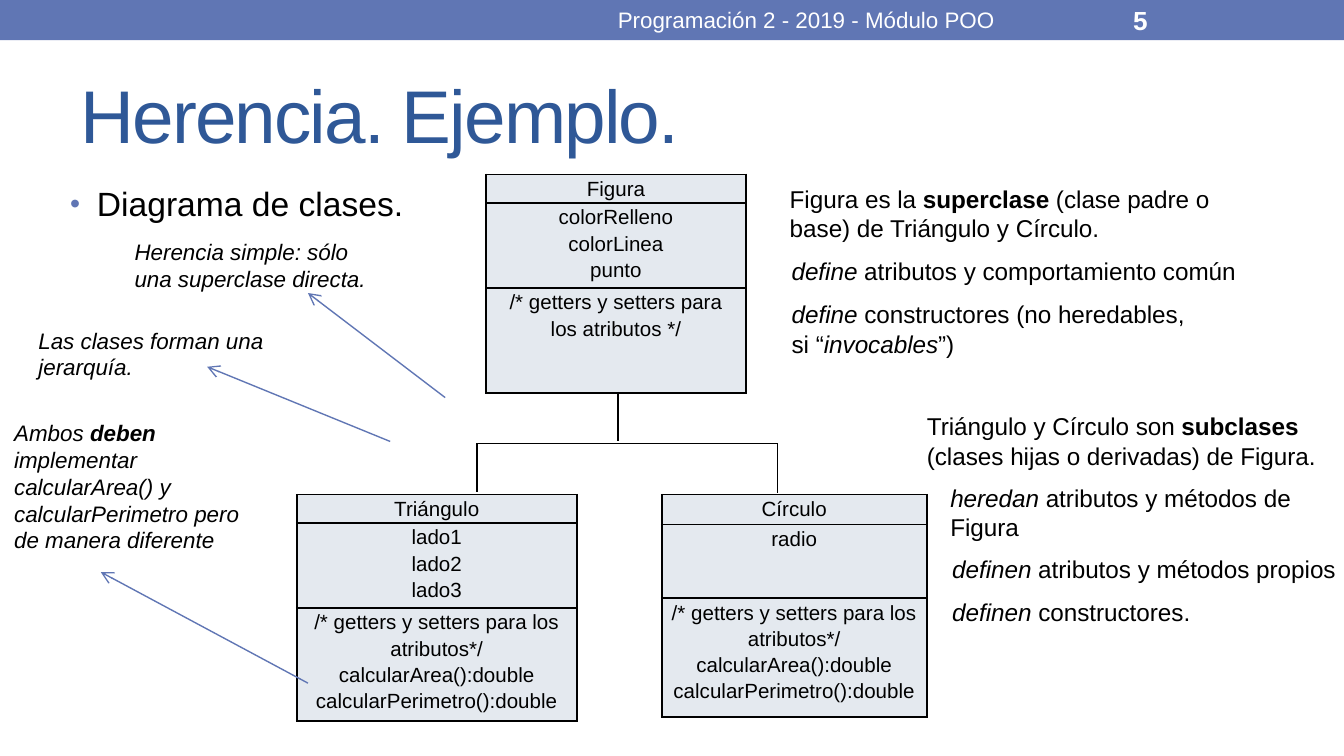
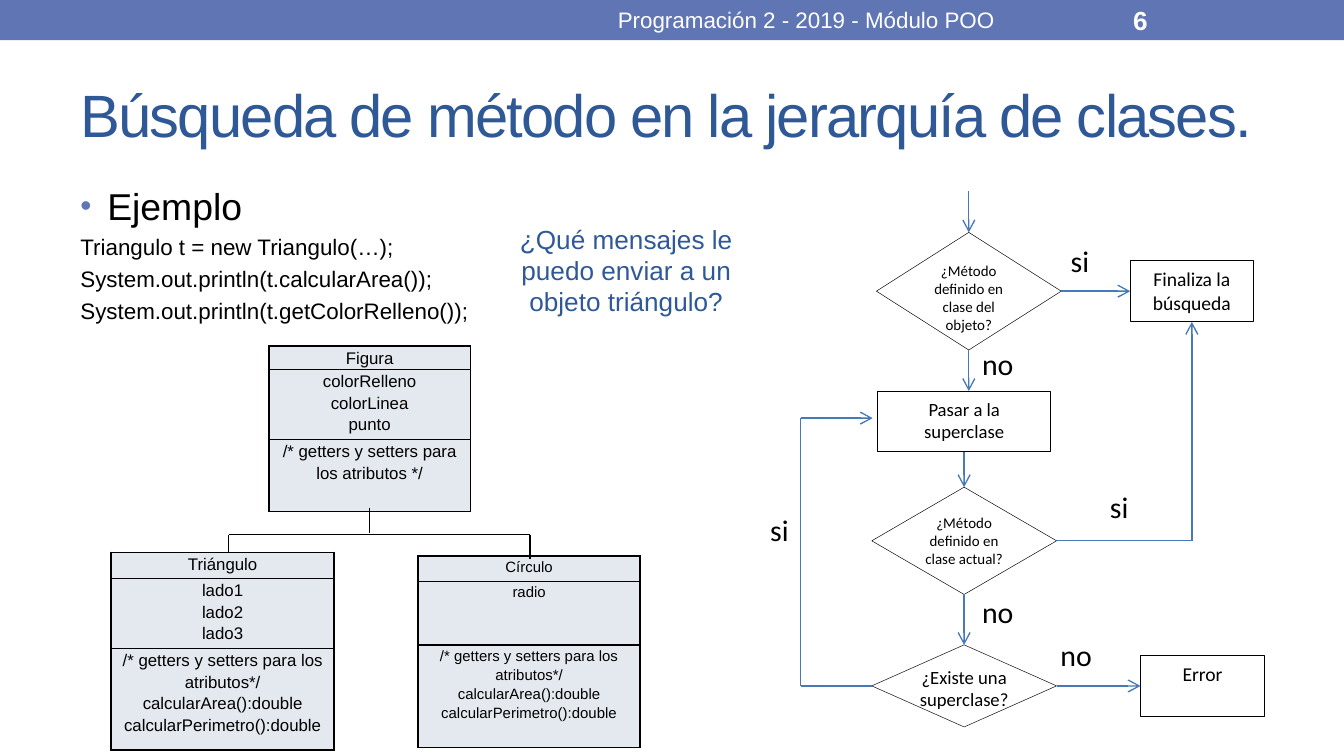
import pptx
import pptx.dml.color
import pptx.enum.shapes
import pptx.enum.text
import pptx.oxml
import pptx.oxml.ns
import pptx.util

Pt = pptx.util.Pt
ALIGN = pptx.enum.text.PP_ALIGN
ANCHOR = pptx.enum.text.MSO_ANCHOR
SHAPE = pptx.enum.shapes.MSO_SHAPE

COLORS = {
    "band": "6076B4",
    "title": "2F5897",
    "text": "000000",
    "white": "FFFFFF",
    "cell": "E4E9EF",
    "flow": "4579B8",
}
BOLD = {"bold": True}
ITALIC = {"italic": True}
CENTERED = {"alignment": ALIGN.CENTER}
MIDDLE = {"vertical_anchor": ANCHOR.MIDDLE}

GETTERS = "/* getters y setters para los atributos*/"
METHODS = [GETTERS, "calcularArea():double", "calcularPerimetro():double"]
CLASSES = {
    "Figura": [
        ["Figura"],
        ["colorRelleno", "colorLinea", "punto"],
        ["/* getters y setters para los atributos */"],
    ],
    "Triángulo": [["Triángulo"], ["lado1", "lado2", "lado3"], METHODS],
    "Círculo": [["Círculo"], ["radio"], METHODS],
}


def rgb(name):
    return pptx.dml.color.RGBColor.from_string(COLORS[name])


def set_attributes(target, values):
    for name, value in values.items():
        setattr(target, name, value)


def drawing_xml(xml):
    return pptx.oxml.parse_xml(xml.replace(" ", f" {pptx.oxml.ns.nsdecls('a')} ", 1))


def write_text(frame, paragraphs, size, color="text", font="Arial",
               font_format=None, paragraph_format=None, frame_format=None):
    """Fill a frame; a paragraph is a string or a list of (text, font format)."""
    set_attributes(frame, {"word_wrap": True, "vertical_anchor": ANCHOR.TOP,
                           **(frame_format or {})})
    for index, content in enumerate(paragraphs):
        paragraph = frame.paragraphs[0] if index == 0 else frame.add_paragraph()
        set_attributes(paragraph, paragraph_format or {})
        runs = [(content, {})] if isinstance(content, str) else content
        for text, run_format in runs:
            run = paragraph.add_run()
            run.text = text
            set_attributes(run.font, {"name": font, "size": Pt(size),
                                      **(font_format or {}), **run_format})
            run.font.color.rgb = rgb(color)


def add_text(slide, box, paragraphs, size, **options):
    shape = slide.shapes.add_textbox(*map(Pt, box))
    write_text(shape.text_frame, paragraphs, size, **options)
    return shape.text_frame


def add_box(slide, kind, box, fill, line_width=None):
    shape = slide.shapes.add_shape(kind, *map(Pt, box))
    shape.shadow.inherit = False
    shape.fill.solid()
    shape.fill.fore_color.rgb = rgb(fill)
    if line_width is None:
        shape.line.fill.background()
    else:
        shape.line.color.rgb = rgb("text")
        shape.line.width = Pt(line_width)
    return shape


def add_line(slide, start, end, color="text", arrow=False):
    """Draw a line; an end is an (x, y) point or a (shape, side) joint."""
    joined = [hasattr(point[0], "shape_id") for point in (start, end)]
    points = [(0, 0) if joint else point for joint, point in zip(joined, (start, end))]
    line = slide.shapes.add_connector(
        pptx.enum.shapes.MSO_CONNECTOR.STRAIGHT,
        *(Pt(value) for point in points for value in point))
    if joined[0]:
        line.begin_connect(*start)
    if joined[1]:
        line.end_connect(*end)
    line.line.color.rgb = rgb(color)
    line.line.width = Pt(0.75)
    if arrow:
        line.line._get_or_add_ln().append(drawing_xml('<a:tailEnd type="arrow"/>'))
    line._element.spPr.append(drawing_xml("<a:effectLst />"))


def add_class(slide, name, left, top, width, heights, size):
    """Draw a class as a table of name, attributes and methods."""
    frame = slide.shapes.add_table(3, 1, Pt(left), Pt(top), Pt(width), Pt(sum(heights)))
    table = frame.table
    set_attributes(table, {"first_row": False, "horz_banding": False})
    table.columns[0].width = Pt(width)
    for index, (height, lines) in enumerate(zip(heights, CLASSES[name])):
        table.rows[index].height = Pt(height)
        cell = table.cell(index, 0)
        set_attributes(cell, {"margin_left": Pt(5), "margin_right": Pt(5),
                              "margin_top": 0, "margin_bottom": 0})
        properties = cell._tc.get_or_add_tcPr()
        for side in "LRTB":
            properties.append(drawing_xml(
                f'<a:ln{side} w="12700"><a:solidFill><a:srgbClr val="{COLORS["text"]}"/>'
                f"</a:solidFill></a:ln{side}>"))
        cell.fill.solid()
        cell.fill.fore_color.rgb = rgb("cell")
        write_text(cell.text_frame, lines, size,
                   paragraph_format={**CENTERED, "line_spacing": 1.15})


def add_bullet(paragraph):
    properties = paragraph._p.get_or_add_pPr()
    properties.set("marL", str(Pt(14.4)))
    properties.set("indent", str(Pt(-14.4)))
    for xml in (f'<a:buClr ><a:srgbClr val="{COLORS["band"]}"/></a:buClr>',
                '<a:buSzPct val="85000"/>',
                '<a:buFont typeface="Arial"/>',
                '<a:buChar char="•"/>'):
        properties.append(drawing_xml(xml))


def add_body(slide, left, heading, size, code=()):
    """Write a bulleted heading with plain code lines below it."""
    frame = add_text(slide, (left, 94.5, 648, 288),
                     [[(heading, {"size": Pt(size)})], *code], 12)
    for paragraph in frame.paragraphs:
        paragraph.space_before = Pt(0.23 * paragraph.runs[0].font.size.pt)
    add_bullet(frame.paragraphs[0])


def start_slide(presentation, number, title, title_size):
    slide = presentation.slides.add_slide(presentation.slide_layouts[6])
    add_box(slide, SHAPE.RECTANGLE, (0, 0, 720, 21.6), "band")
    add_text(slide, (600, 1, 84, 19.5), [str(number)], 14, color="white",
             font_format=BOLD, frame_format=MIDDLE)
    add_text(slide, (270, 1, 324, 19.5), ["Programación 2 - 2019 - Módulo POO"], 12,
             color="white", paragraph_format=CENTERED, frame_format=MIDDLE)
    frame = add_text(slide, (36, 31.5, 648, 58.5), [title], title_size, color="title",
                     frame_format=MIDDLE)
    frame.paragraphs[0].runs[0].font._element.set("spc", "-100")
    return slide


def add_hierarchy_lines(slide, left, right, middle, top, bar, left_end, right_end):
    add_line(slide, (left, bar), (right, bar))
    add_line(slide, (middle, top), (middle, bar - 1))
    add_line(slide, (left, bar), (left, left_end))
    add_line(slide, (right, bar), (right, right_end))


def build_inheritance(presentation):
    slide = start_slide(presentation, 5, "Herencia. Ejemplo.", 40)
    add_body(slide, 30.5, "Diagrama de clases.", 18)

    add_class(slide, "Figura", 260.5, 93.5, 139, (14, 42, 56.5), 11)
    add_class(slide, "Círculo", 354.5, 265, 142, (16, 39.5, 63.5), 11)
    add_class(slide, "Triángulo", 159, 265, 150, (14, 42, 56.5), 11)
    add_hierarchy_lines(slide, 255.5, 416.5, 331, 210, 237.5, 263.5, 264)

    descriptions = [
        ((416, 95, 261, 39), [[("Figura es la ", {}), ("superclase", BOLD),
                               (" (clase padre o base) de Triángulo y Círculo.", {})]]),
        ((489.5, 217, 227.5, 39), [[("Triángulo y Círculo son ", {}), ("subclases ", BOLD),
                                    ("(clases hijas o derivadas) de Figura.", {})]]),
        ((502, 255.5, 231, 39), [[("heredan", ITALIC),
                                  (" atributos y métodos de Figura", {})]]),
        ((503, 293.5, 230, 23), [[("definen ", ITALIC),
                                  ("atributos y métodos propios", {})]]),
        ((417, 133.5, 283, 23), [[("define", ITALIC),
                                  (" atributos y comportamiento común", {})]]),
        ((503, 316.5, 231, 23), [[("definen ", ITALIC), ("constructores.", {})]]),
        ((417, 157, 300, 39), [[("define", ITALIC), (" constructores (no heredables,", {})],
                               [("si “", {}), ("invocables", ITALIC), ("”)", {})]]),
    ]
    for box, paragraphs in descriptions:
        add_text(slide, box, paragraphs, 13)

    notes = [
        ((0.5, 221, 136, 80),
         [("Ambos ", {}), ("deben", BOLD),
          (" implementar calcularArea() y calcularPerimetro pero de manera diferente", {})],
         (165, 366), (54, 306.5)),
        ((65, 124, 144, 36), "Herencia simple: sólo una superclase directa.",
         (238.5, 213), (165, 157)),
        ((13.5, 171.5, 144, 36), "Las clases forman una jerarquía.",
         (209, 236.5), (111, 196.5)),
    ]
    for box, paragraph, start, end in notes:
        add_text(slide, box, [paragraph], 12, font_format=ITALIC)
        add_line(slide, start, end, "band", arrow=True)


def add_flow_node(slide, kind, box, text, size):
    diamond = kind == SHAPE.DIAMOND
    shape = add_box(slide, kind, box, "white", 0.25 if diamond else 0.5)
    margins = dict.fromkeys(
        ("margin_left", "margin_top", "margin_right", "margin_bottom"), 0)
    write_text(shape.text_frame, [text], size, font="Calibri",
               paragraph_format=CENTERED, frame_format=margins if diamond else None)
    return shape


def add_search_flow(slide):
    top, left, bottom, right = range(4)
    finish = add_flow_node(slide, SHAPE.RECTANGLE, (605.5, 139.5, 66, 33),
                           "Finaliza la búsqueda", 10.5)
    parent = add_flow_node(slide, SHAPE.RECTANGLE, (470, 209.5, 93, 32.5),
                           "Pasar a la superclase", 10)
    error = add_flow_node(slide, SHAPE.RECTANGLE, (611, 351, 66.5, 33), "Error", 10.5)
    in_object = add_flow_node(slide, SHAPE.DIAMOND, (469.5, 124.5, 99, 63),
                              "¿Método definido en clase del objeto?", 8)
    in_current = add_flow_node(slide, SHAPE.DIAMOND, (467, 261, 99, 57.5),
                               "¿Método definido en clase actual?", 8)
    has_parent = add_flow_node(slide, SHAPE.DIAMOND, (467, 345.5, 99, 44),
                               "¿Existe una superclase?", 10)

    finish_corner, loop_low, loop_high = (638.5, 289.75), (429, 367.5), (429, 224)
    steps = [
        ((519, 102.5), (in_object, top), True),
        ((in_object, right), (finish, left), True),
        ((in_object, bottom), (519, 209.5), True),
        ((parent, bottom), (in_current, top), True),
        ((in_current, right), finish_corner, False),
        (finish_corner, (finish, bottom), True),
        ((in_current, bottom), (has_parent, top), True),
        ((has_parent, right), (error, left), True),
        ((has_parent, left), loop_low, False),
        (loop_low, loop_high, False),
        (loop_high, (467.5, 224), True),
    ]
    for start, end, arrow in steps:
        add_line(slide, start, end, "flow", arrow)

    answers = [
        ("si", 566.5, 126.5), ("no", 519, 181.5), ("si", 587.5, 258.5),
        ("no", 519, 314.5), ("si", 405.5, 270.5), ("no", 561, 337.5),
    ]
    for text, x, y in answers:
        add_text(slide, (x, y, 40, 28), [text], 16, font="Calibri")


def build_method_search(presentation):
    slide = start_slide(presentation, 6,
                        "Búsqueda de método en la jerarquía de clases.", 32)
    add_body(slide, 36, "Ejemplo", 20, [
        "Triangulo t = new Triangulo(…);",
        "System.out.println(t.calcularArea());",
        "System.out.println(t.getColorRelleno());",
    ])
    add_search_flow(slide)
    add_text(slide, (265.5, 116, 140, 58), [
        "¿Qué mensajes le puedo enviar a un objeto triángulo?",
    ], 14, color="title", paragraph_format=CENTERED)

    add_class(slide, "Figura", 144, 185.5, 108, (12.5, 37.5, 38.5), 9)
    add_class(slide, "Círculo", 224, 298, 119, (13.5, 34, 55), 8)
    add_class(slide, "Triángulo", 59.5, 296, 119.5, (14, 37.5, 54.5), 9)
    add_hierarchy_lines(slide, 122.5, 284, 198, 272, 286.5, 296, 299.5)


def main():
    presentation = pptx.Presentation()
    presentation.slide_width = Pt(720)
    presentation.slide_height = Pt(405)
    build_inheritance(presentation)
    build_method_search(presentation)
    presentation.save("out.pptx")


if __name__ == "__main__":
    main()
